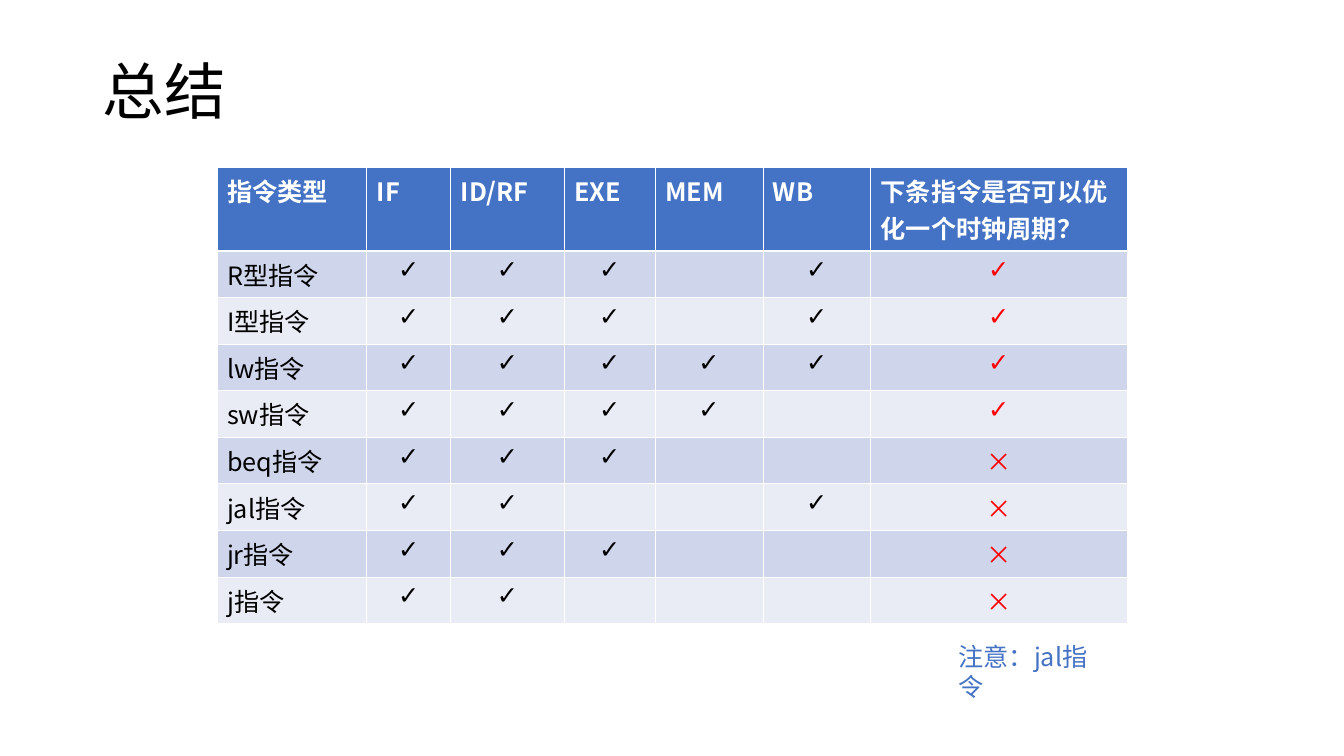
from pptx import Presentation
from pptx.dml.color import RGBColor
from pptx.enum import text
from pptx.oxml.ns import qn
from pptx.util import Pt
from lxml import etree

COLORS = {"black": "000000", "white": "FFFFFF", "blue": "4472C4",
          "red": "FF0000", "band_dark": "CFD5EA", "band_light": "E9EBF5"}
CJK = "Noto Sans CJK SC"


def style(p, size, color, font=CJK, bold=False):
    for r in p.runs:
        r.font.size = Pt(size)
        r.font.bold = bold
        r.font.color.rgb = RGBColor.from_string(COLORS[color])
        r.font.name = font
        ea = etree.SubElement(r.font._element, qn("a:ea"))
        ea.set("typeface", font)


def border(cell, side, width):
    ln = etree.SubElement(cell._tc.get_or_add_tcPr(), qn(f"a:ln{side}"), w=str(Pt(width)))
    fill = etree.SubElement(ln, qn("a:solidFill"))
    etree.SubElement(fill, qn("a:srgbClr"), val=COLORS["white"])


prs = Presentation()
prs.slide_width, prs.slide_height = Pt(960), Pt(540)
s = prs.slides.add_slide(prs.slide_layouts[5])

# Title
title = s.shapes.title
title.left, title.top, title.width, title.height = Pt(66), Pt(29), Pt(828), Pt(77)
tf = title.text_frame
tf.text = "总结"
tf.vertical_anchor = text.MSO_ANCHOR.MIDDLE
p = tf.paragraphs[0]
p.alignment = text.PP_ALIGN.LEFT
p.line_spacing = 0.9
style(p, 44, "black")

# Pipeline stages used by each instruction, and whether the next one gains a cycle
header = ["指令类型", "IF", "ID/RF", "EXE", "MEM", "WB", "下条指令是否可以优化一个时钟周期？"]
instructions = [
    ("R型指令", "IF ID/RF EXE WB", "✓"),
    ("I型指令", "IF ID/RF EXE WB", "✓"),
    ("lw指令", "IF ID/RF EXE MEM WB", "✓"),
    ("sw指令", "IF ID/RF EXE MEM", "✓"),
    ("beq指令", "IF ID/RF EXE", "×"),
    ("jal指令", "IF ID/RF WB", "×"),
    ("jr指令", "IF ID/RF EXE", "×"),
    ("j指令", "IF ID/RF", "×"),
]
rows = [header]
for name, stages, gain in instructions:
    marks = ["✓" if stage in stages.split() else "" for stage in header[1:-1]]
    rows.append([name, *marks, gain])

# Table
widths = [107, 60, 81, 65, 77, 77, 183]
table = s.shapes.add_table(len(rows), len(widths), Pt(155), Pt(119.8),
                           Pt(sum(widths)), Pt(321)).table
for col, width in zip(table.columns, widths):
    col.width = Pt(width)

for i, row in enumerate(rows):
    table.rows[i].height = Pt(33.3 if i else 57)
    for j, value in enumerate(row):
        cell = table.cell(i, j)
        cell.text = value
        p = cell.text_frame.paragraphs[0]
        if i == 0:
            style(p, 18, "white", bold=True)
        else:
            style(p, 18, "red" if j == len(row) - 1 else "black",
                  "Arial" if value == "✓" else CJK)
            if j:
                p.alignment = text.PP_ALIGN.CENTER
        for side in "LRTB":
            heavy = (i, side) in [(0, "B"), (1, "T")]
            border(cell, side, 1.5 if heavy else 0.45)
        band = "blue" if i == 0 else "band_dark" if i % 2 else "band_light"
        cell.fill.solid()
        cell.fill.fore_color.rgb = RGBColor.from_string(COLORS[band])

# Note below the table
note = s.shapes.add_textbox(Pt(677.5), Pt(454.3), Pt(123), Pt(50.4))
tf = note.text_frame
tf.word_wrap = True
tf.text = "注意：jal指令"
style(tf.paragraphs[0], 18, "blue")

prs.save("out.pptx")
